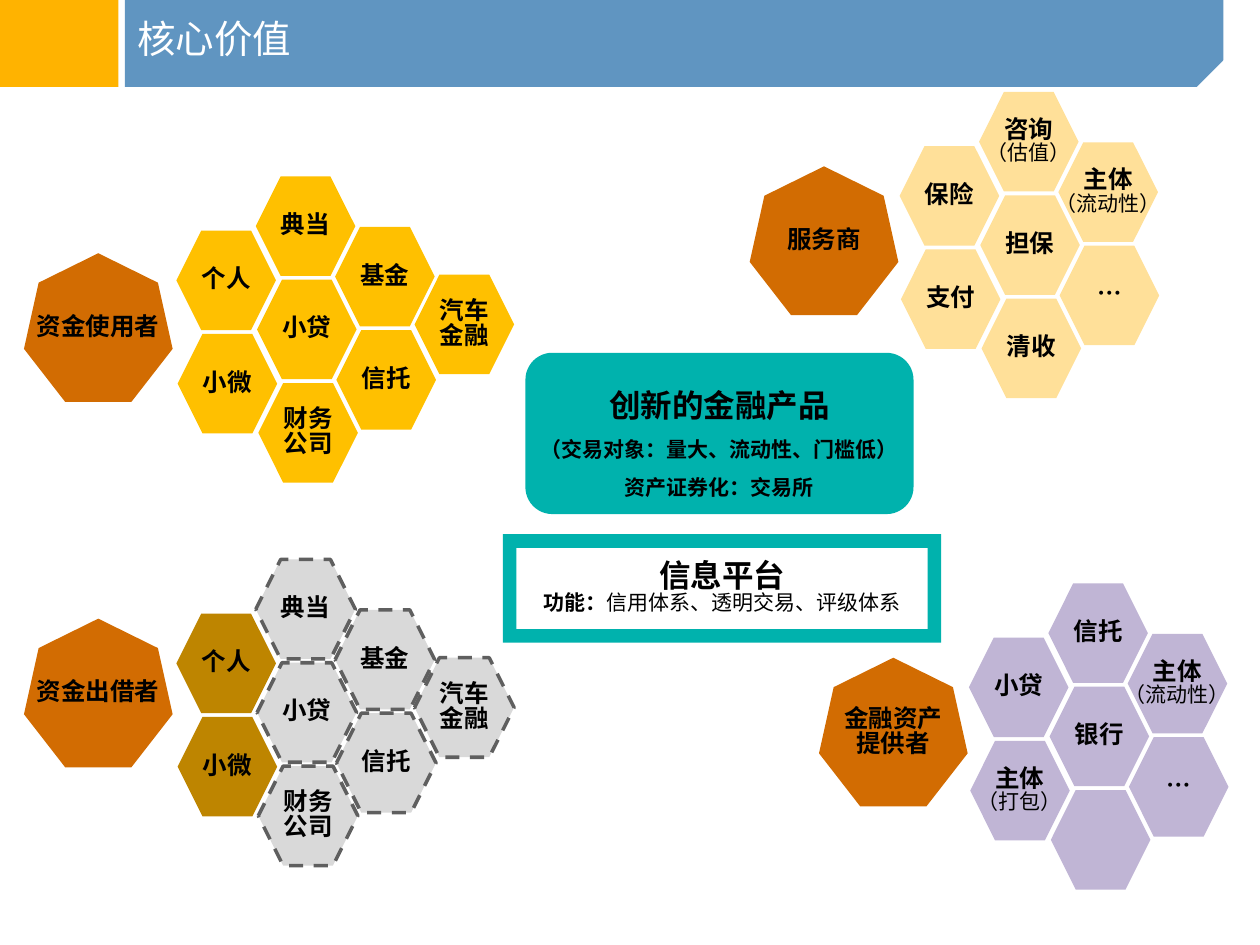
from lxml import etree
from pptx import Presentation
from pptx.dml.color import RGBColor
from pptx.enum.dml import MSO_LINE
from pptx.enum.shapes import MSO_SHAPE
from pptx.enum.text import MSO_ANCHOR, MSO_AUTO_SIZE, PP_ALIGN
from pptx.oxml.ns import qn
from pptx.util import Inches, Pt

RECT, CORNER = MSO_SHAPE.RECTANGLE, MSO_SHAPE.RIGHT_TRIANGLE
HEXAGON, HEPTAGON = MSO_SHAPE.HEXAGON, MSO_SHAPE.HEPTAGON
ROUNDED, FRAME = MSO_SHAPE.ROUNDED_RECTANGLE, MSO_SHAPE.FRAME
CENTER, LEFT = PP_ALIGN.CENTER, PP_ALIGN.LEFT

FONT = "Noto Sans CJK SC"
BLACK, WHITE = "000000", "FFFFFF"
BLUE, AMBER, ORANGE, TEAL = "6095C1", "FFB300", "D26C02", "00B2AD"
GOLD, DARK_GOLD, GREY, DASH_GREY = "FFC000", "BE8500", "D9D9D9", "5F5F5F"
CREAM, LILAC = "FFE099", "C0B5D5"

# Content: text is a list of paragraphs, each a list of (text, size, bold) runs
def bold_lines(*lines):
    return [[(line, 14, True)] for line in lines]


def with_note(name, note):
    return [[(name, 14, True)], [(note, 12, False)]]


TITLE = [[("核心价值", 22, False)]]
PRODUCT = [
    [("创新的金融产品", 18, True)],
    [("（交易对象：量大、流动性、门槛低）", 12, True)],
    [("资产证券化：交易所", 12, True)],
]
PLATFORM = [
    [("信息平台", 18, True)],
    [("功能：", 12, True), ("信用体系、透明交易、评级体系", 12, False)],
]

# Roles: text, left, top
ROLES = [
    (bold_lines("资金使用者"), 0.19, 2.01),
    (bold_lines("资金出借者"), 0.19, 4.91),
    (bold_lines("服务商"), 5.95, 1.32),
    (bold_lines("金融资产", "提供者"), 6.5, 5.22),
]

# Honeycombs: columns of cells from left to right, each from top to bottom
FINANCE = [
    [bold_lines("个人"), bold_lines("小微")],
    [bold_lines("典当"), bold_lines("小贷"), bold_lines("财务", "公司")],
    [bold_lines("基金"), bold_lines("信托")],
    [bold_lines("汽车", "金融")],
]
SERVICES = [
    [bold_lines("保险"), bold_lines("支付")],
    [with_note("咨询", "（估值）"), bold_lines("担保"), bold_lines("清收")],
    [with_note("主体", "（流动性）"), bold_lines("…")],
]
ASSETS = [
    [bold_lines("小贷"), with_note("主体", "（打包）")],
    [bold_lines("信托"), bold_lines("银行"), []],
    [with_note("主体", "（流动性）"), bold_lines("…")],
]
# left, top, cells, fill of each column, first dashed column
HONEYCOMBS = [
    (1.4, 1.4, FINANCE, [GOLD] * 4, 4),
    (1.4, 4.44, FINANCE, [DARK_GOLD] + [GREY] * 3, 1),
    (7.14, 0.73, SERVICES, [CREAM] * 3, 3),
    (7.69, 4.63, ASSETS, [LILAC] * 3, 3),
]
CELL, ROLE_SIZE = 0.79, 1.18
COLUMN_STEP, ROW_STEP, ROW_SHIFT = 0.63, 0.82, 0.01
COLUMN_TOPS = [0.43, 0, 0.4, 0.78]


def rgb(value):
    return RGBColor.from_string(value)


def write(shape, paragraphs, color=BLACK, align=CENTER, spacing=0.85):
    frame = shape.text_frame
    frame.word_wrap = False
    frame.auto_size = MSO_AUTO_SIZE.NONE
    frame.vertical_anchor = MSO_ANCHOR.MIDDLE
    frame.margin_left = frame.margin_right = 0
    frame.margin_top = frame.margin_bottom = 0
    for index, runs in enumerate(paragraphs):
        paragraph = frame.add_paragraph() if index else frame.paragraphs[0]
        paragraph.alignment = align
        paragraph.line_spacing = spacing
        paragraph.space_before = Pt(0)
        for text, size, bold in runs:
            run = paragraph.add_run()
            run.text = text
            font = run.font
            font.name, font.size, font.bold = FONT, Pt(size), bold
            font.color.rgb = rgb(color)
            # East Asian text takes its own typeface
            east_asian = etree.SubElement(run._r.get_or_add_rPr(), qn("a:ea"))
            east_asian.set("typeface", FONT)


def block(slide, kind, left, top, width, height, fill, paragraphs=(), spacing=0.85):
    shape = slide.shapes.add_shape(
        kind, Inches(left), Inches(top), Inches(width), Inches(height))
    shape.shadow.inherit = False
    shape.fill.solid()
    shape.fill.fore_color.rgb = rgb(fill)
    shape.line.fill.background()
    if paragraphs:
        write(shape, paragraphs, spacing=spacing)
    return shape


def honeycomb(slide, left, top, cells, fills, first_dashed):
    for column, (names, fill) in enumerate(zip(cells, fills)):
        for row, name in enumerate(names):
            x = left + column * COLUMN_STEP + row * ROW_SHIFT
            y = top + COLUMN_TOPS[column] + row * ROW_STEP
            cell = block(slide, HEXAGON, x, y, CELL, CELL, fill, name)
            if column >= first_dashed:
                cell.line.color.rgb = rgb(DASH_GREY)
                cell.line.width = Pt(2)
                cell.line.dash_style = MSO_LINE.DASH


def main():
    deck = Presentation()
    deck.slide_width, deck.slide_height = Inches(10), Inches(7.5)
    slide = deck.slides.add_slide(deck.slide_layouts[5])

    # Header band with a cut corner
    block(slide, RECT, 0.99, 0, 8.72, 0.69, BLUE)
    corner = block(slide, CORNER, 9.38, 0.36, 0.45, 0.45, WHITE)
    corner._element.spPr.get_or_add_xfrm().set("flipH", "1")
    block(slide, RECT, 0, 0, 0.94, 0.69, AMBER)

    # Title, brought in front of the band
    title = slide.shapes.title
    title.left, title.top = Inches(1.09), Inches(0.18)
    title.width, title.height = Inches(8.3), Inches(0.31)
    write(title, TITLE, WHITE, LEFT)
    slide.shapes._spTree.append(title._element)

    # Roles and their honeycombs
    for name, left, top in ROLES:
        block(slide, HEPTAGON, left, top, ROLE_SIZE, ROLE_SIZE, ORANGE, name)
    for comb in HONEYCOMBS:
        honeycomb(slide, *comb)

    # Product and platform in the centre
    block(slide, ROUNDED, 4.17, 2.8, 3.08, 1.28, TEAL, PRODUCT, spacing=1.5)
    block(slide, FRAME, 3.99, 4.24, 3.48, 0.86, TEAL, PLATFORM)

    deck.save("out.pptx")


if __name__ == "__main__":
    main()
